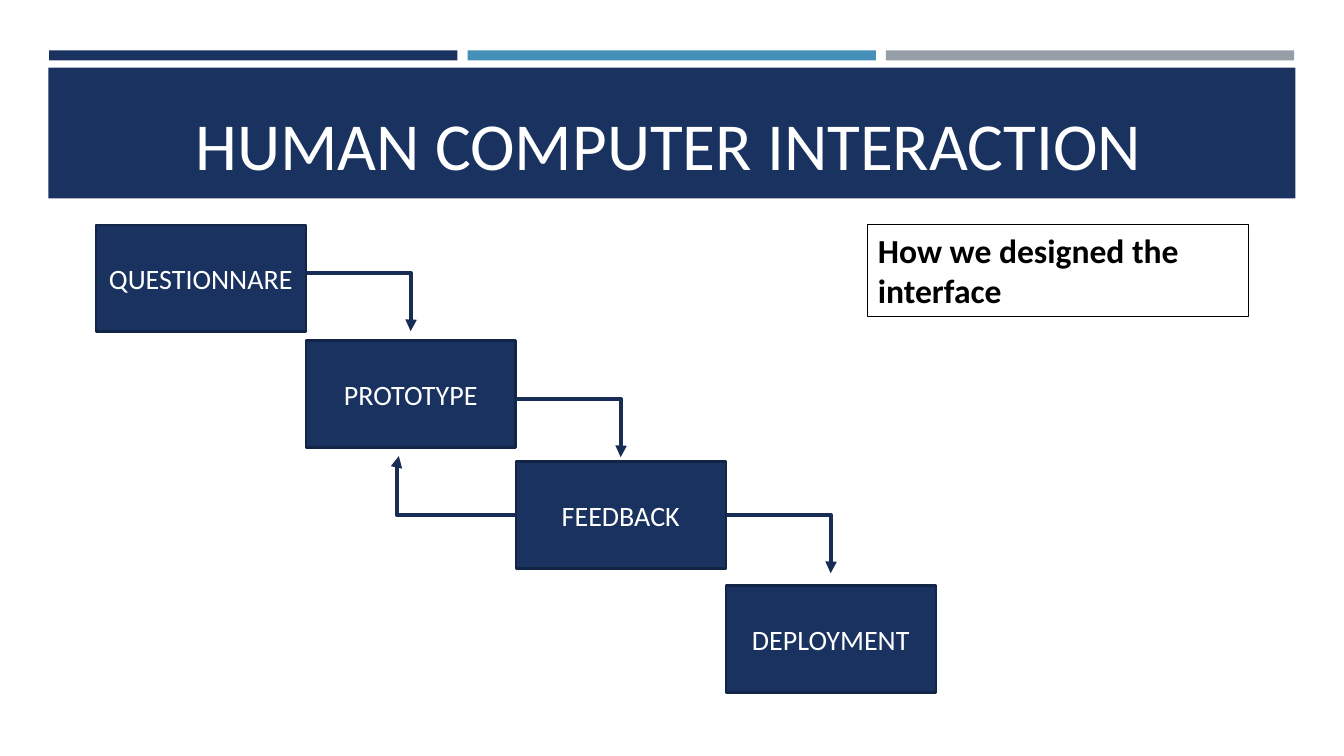
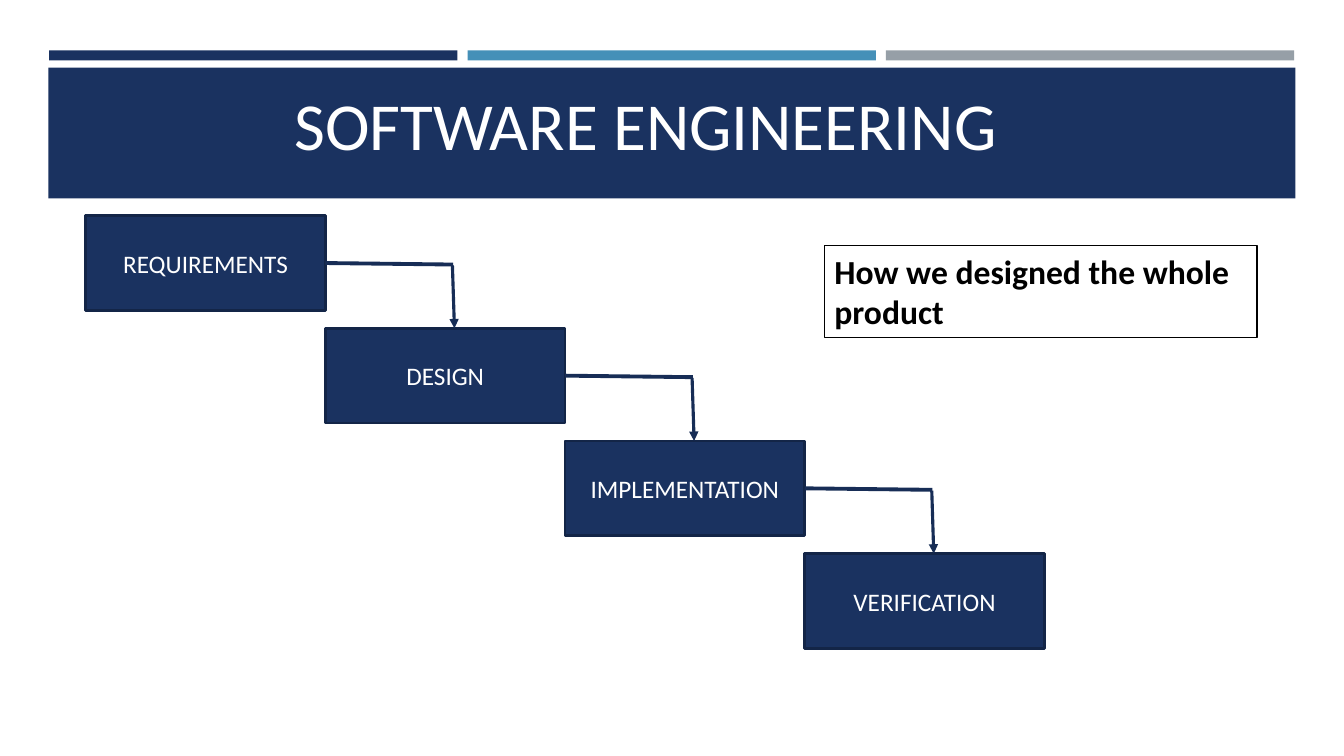
from dataclasses import dataclass
from itertools import pairwise

from lxml.etree import SubElement
from pptx import Presentation
from pptx.dml.color import RGBColor as Rgb
from pptx.enum.shapes import MSO_CONNECTOR as Link, MSO_SHAPE as Form
from pptx.enum.text import MSO_ANCHOR as Anchor, MSO_AUTO_SIZE as Fit, PP_ALIGN as Align
from pptx.oxml.ns import qn
from pptx.util import Inches, Pt


@dataclass(frozen=True)
class Theme:
    """Colours, font, type sizes and line widths of the deck."""
    navy: str = "1A3260"
    blue: str = "4590B8"
    grey: str = "969FA7"
    edge: str = "132547"
    arrow: str = "172D56"
    white: str = "FFFFFF"
    black: str = "000000"
    font: str = "Calibri"
    title: int = 48
    note: int = 24
    frame: float = 0.75
    rim: float = 1.75
    thick: float = 2.75
    thin: float = 2.25


LOOK = Theme()
WIDE, HIGH = Inches(13.33), Inches(7.5)
COL, ROW = WIDE / 100, HIGH / 100


def grid(*spans):
    """Turn alternating columns and rows of a 100 by 100 grid into lengths."""
    return [round(span * (ROW if i % 2 else COL)) for i, span in enumerate(spans)]


def write(frame, text, size, color, align=Align.LEFT, bold=False):
    """Set the one paragraph of a text frame."""
    frame.word_wrap = True
    para = frame.paragraphs[0]
    para.text, para.alignment = text, align
    font = para.font
    font.name, font.size, font.bold = LOOK.font, Pt(size), bold
    font.color.rgb = Rgb.from_string(color)


def block(slide, box, fill, edge=None):
    """Add a flat rectangle, with a rim if an edge colour is given."""
    shape = slide.shapes.add_shape(Form.RECTANGLE, *grid(*box))
    shape.shadow.inherit = False
    shape.fill.solid()
    shape.fill.fore_color.rgb = Rgb.from_string(fill)
    if edge:
        shape.line.color.rgb = Rgb.from_string(edge)
        shape.line.width = Pt(LOOK.rim)
    else:
        shape.line.fill.background()
    return shape


def wire(slide, ends, width, head=True, bend=None):
    """Add a straight line, or an elbow that bends at the given share."""
    kind = Link.ELBOW if bend else Link.STRAIGHT
    line = slide.shapes.add_connector(kind, *grid(*ends))
    line.line.color.rgb = Rgb.from_string(LOOK.arrow)
    line.line.width = Pt(width)
    props = line.element.spPr
    if head:
        SubElement(props.find(qn("a:ln")), qn("a:tailEnd"), type="triangle")
    if bend:
        SubElement(next(props.iter(qn("a:avLst"))), qn("a:gd"),
                   name="adj1", fmla=f"val {round(bend * 100000)}")
    SubElement(props, qn("a:effectLst"))
    return line


def bands(slide, layout):
    """Place the three bars and the title band on the shared layout."""
    left, top, wide = 3.6, 6.67, 92.78
    bars = [block(slide, (left + 0.06 + i * 31.13, top, 30.38, 1.33), color)
            for i, color in enumerate((LOOK.navy, LOOK.blue, LOOK.grey))]
    bars.append(block(slide, (left, top + 2.26, wide, 17.33), LOOK.navy))
    for i, bar in enumerate(bars):
        bar.element.nvSpPr.cNvPr.set("id", str(100 + i))
        layout.shapes.element.insert(2 + i, bar.element)


def head(slide, box, text):
    """Move and format the title placeholder."""
    title = slide.shapes.title
    title.left, title.top, title.width, title.height = grid(*box)
    frame = title.text_frame
    write(frame, text, LOOK.title, LOOK.white)
    frame.auto_size = Fit.NONE
    frame.vertical_anchor = Anchor.BOTTOM


def note(slide, box, text):
    """Add the framed remark."""
    area = slide.shapes.add_textbox(*grid(*box))
    area.line.color.rgb = Rgb.from_string(LOOK.black)
    area.line.width = Pt(LOOK.frame)
    write(area.text_frame, text, LOOK.note, LOOK.black, bold=True)


def stairs(slide, box, tall, drops, names, size):
    """Add steps that fill the box from top left; return shapes and boxes."""
    left, top, wide, _ = box
    step = wide / len(names)
    spots = [(left + i * step, top + drop, step, tall) for i, drop in enumerate(drops)]
    shapes = [block(slide, spot, LOOK.navy, LOOK.edge) for spot in spots]
    for shape, name in zip(shapes, names):
        write(shape.text_frame, name, size, LOOK.white, Align.CENTER)
        shape.text_frame.vertical_anchor = Anchor.MIDDLE
    return shapes, spots


def loop(slide, box):
    """Draw the steps with elbow arrows and one arrow back."""
    names = "QUESTIONNARE", "PROTOTYPE", "FEEDBACK", "DEPLOYMENT"
    drops = 0, 15.34, 31.34, 47.74
    _, spots = stairs(slide, box, 14.13, drops, names, 20)
    for (left, top, wide, _), exit in zip(spots, (6.4, 7.73, 7.07)):
        x, y = left + wide, top + exit
        wire(slide, (x, y, x + 7.8, y + 7.67), LOOK.thick, bend=1.004)
    x, y = spots[2][0], spots[2][1] + 7.07
    wire(slide, (x, y, x - 8.7, y - 7.8), LOOK.thick, bend=1.017)


def fall(slide, box):
    """Draw evenly spaced steps, each joined to the next by two lines."""
    names = "REQUIREMENTS", "DESIGN", "IMPLEMENTATION", "VERIFICATION"
    tall = 12.53
    pitch = (box[3] - tall) / (len(names) - 1)
    drops = [i * pitch for i in range(len(names))]
    shapes, spots = stairs(slide, box, tall, drops, names, 18)
    for shape, (spot, below) in zip(shapes, pairwise(spots)):
        x, y = spot[0] + spot[2], spot[1] + tall / 2
        line = wire(slide, (x, y, x + 9.5, y + 0.2), LOOK.thick, head=False)
        line.begin_connect(shape, 3)
        wire(slide, (x + 9.45, y + 0.3, x + 9.6, below[1]), LOOK.thin)


def main():
    """Build and save the deck."""
    deck = Presentation()
    deck.slide_width, deck.slide_height = WIDE, HIGH
    layout = deck.slide_layouts[5]

    first = deck.slides.add_slide(layout)
    bands(first, layout)
    head(first, (13.8, 10.27, 81.45, 14.8), "HUMAN COMPUTER INTERACTION")
    loop(first, (7.13, 29.73, 62.5, 61.87))
    note(first, (64.58, 29.73, 28.28, 12.13), "How we designed the interface")

    second = deck.slides.add_slide(layout)
    head(second, (21.15, 10.27, 63.68, 12.13), "SOFTWARE ENGINEERING")
    fall(second, (6.38, 28.53, 71.33, 57.23))
    note(second, (61.35, 32.53, 32.18, 12.13), "How we designed the whole product")

    deck.save("out.pptx")


if __name__ == "__main__":
    main()
